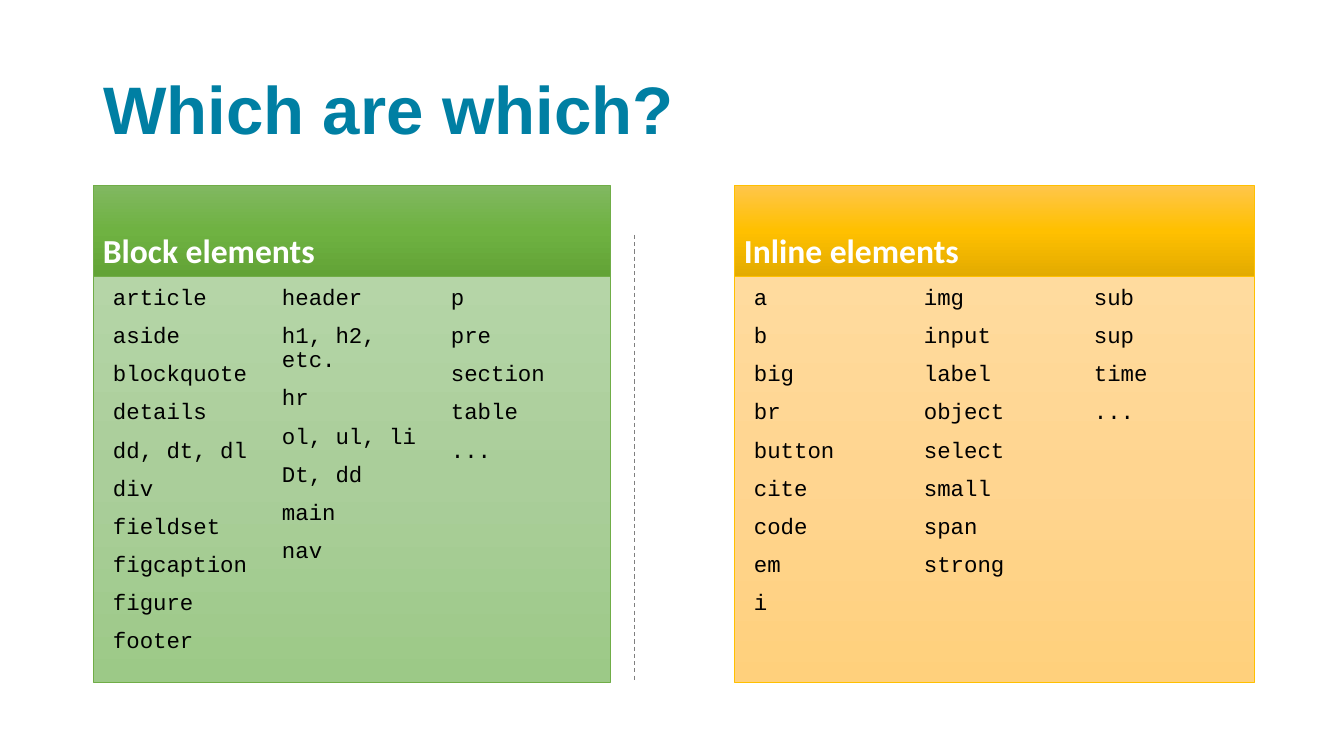
"""Build a slide that sorts page tags into block and inline groups."""
from copy import deepcopy

from lxml.etree import SubElement
from pptx import Presentation
from pptx.dml.color import RGBColor
from pptx.enum.dml import MSO_LINE
from pptx.enum.shapes import MSO_CONNECTOR, MSO_SHAPE
from pptx.enum.text import MSO_ANCHOR, PP_ALIGN
from pptx.oxml.ns import qn
from pptx.util import Pt

SCALE = 914400 / 100.8
TEAL = RGBColor(0x00, 0x7F, 0xA3)
WHITE = RGBColor(0xFF, 0xFF, 0xFF)
BLACK = RGBColor(0x00, 0x00, 0x00)
GREY = RGBColor(0x7F, 0x7F, 0x7F)
GREEN = RGBColor(0x70, 0xAD, 0x47)
GOLD = RGBColor(0xFF, 0xC0, 0x00)
GREEN_HEAD = [RGBColor(0x81, 0xB8, 0x61), RGBColor(0x6F, 0xB2, 0x42), RGBColor(0x62, 0xA3, 0x36)]
GREEN_BODY = [RGBColor(0xB5, 0xD5, 0xA7), RGBColor(0xAA, 0xCE, 0x9A), RGBColor(0x9C, 0xC9, 0x87)]
GOLD_HEAD = [RGBColor(0xFF, 0xC6, 0x4B), GOLD, RGBColor(0xE3, 0xAB, 0x00)]
GOLD_BODY = [RGBColor(0xFF, 0xDB, 0x9E), RGBColor(0xFF, 0xD5, 0x90), RGBColor(0xFF, 0xD0, 0x7C)]

BLOCK = [
    ["article", "aside", "blockquote", "details", "dd, dt, dl", "div",
     "fieldset", "figcaption", "figure", "footer"],
    ["header", "h1, h2, etc.", "hr", "ol, ul, li", "Dt, dd", "main", "nav"],
    ["p", "pre", "section", "table", "..."],
]
INLINE = [
    ["a", "b", "big", "br", "button", "cite", "code", "em", "i"],
    ["img", "input", "label", "object", "select", "small", "span", "strong"],
    ["sub", "sup", "time", "..."],
]
TOP, HEAD, BODY = 185, 91, 406
PAD, GAP = 20, 30


def px(*sizes):
    """Turn pixel lengths into EMU."""
    return [round(size * SCALE) for size in sizes]


def style(para, face, size, color, bold=False):
    """Set the font and line pitch of a paragraph."""
    para.alignment = PP_ALIGN.LEFT
    para.line_spacing = 0.9
    font = para.font
    font.name, font.size, font.bold = face, Pt(size), bold
    font.color.rgb = color


def add_title(slide, text):
    """Place and fill the title."""
    title = slide.shapes.title
    title.left, title.top, title.width, title.height = px(93, 40, 1159, 146)
    frame = title.text_frame
    frame.text = text
    frame.vertical_anchor = MSO_ANCHOR.MIDDLE
    style(frame.paragraphs[0], "Arial", 48, TEAL, True)


def add_panel(slide, box, shades, edge):
    """Draw a box with a three-stop fade from top to bottom."""
    panel = slide.shapes.add_shape(MSO_SHAPE.RECTANGLE, *px(*box))
    panel.shadow.inherit = False
    panel.line.color.rgb = edge
    panel.line.width = Pt(0.5)
    panel.fill.gradient()
    panel.fill.gradient_angle = 270
    stops = panel._element.spPr.find(".//" + qn("a:gsLst"))
    stops.insert(1, deepcopy(stops[0]))
    for rank, (stop, shade) in enumerate(zip(panel.fill.gradient_stops, shades)):
        stop.position = rank / 2
        stop.color.rgb = shade
    return panel


def add_list(slide, box, words):
    """Write one column of tag names."""
    frame = slide.shapes.add_textbox(*px(*box)).text_frame
    frame.word_wrap = True
    frame.margin_left = frame.margin_right = 0
    frame.margin_top = frame.margin_bottom = px(10)[0]
    for rank, word in enumerate(words):
        para = frame.add_paragraph() if rank else frame.paragraphs[0]
        para.text = word
        para.space_before = Pt(10 if rank else 0)
        style(para, "Courier New", 16, BLACK)


def add_group(slide, left, width, name, lists, edge, head, body):
    """Draw a headed panel with its columns of tags."""
    frame = add_panel(slide, (left, TOP, width, HEAD), head, edge).text_frame
    frame.text = name
    frame.vertical_anchor = MSO_ANCHOR.BOTTOM
    style(frame.paragraphs[0], "Calibri", 24, WHITE, True)
    low = TOP + HEAD
    add_panel(slide, (left, low, width, BODY), body, edge)
    span = (width - 2 * PAD - (len(lists) - 1) * GAP) / len(lists)
    for rank, words in enumerate(lists):
        add_list(slide, (left + PAD + rank * (span + GAP), low, span, BODY), words)


def add_rule(slide, x, top, end):
    """Draw the dashed line between the groups."""
    rule = slide.shapes.add_connector(MSO_CONNECTOR.STRAIGHT, *px(x, top, x, end))
    rule.line.color.rgb = GREY
    rule.line.width = Pt(0.75)
    rule.line.dash_style = MSO_LINE.DASH
    SubElement(rule._element.spPr, qn("a:effectLst"))


def main():
    """Build and save the slide."""
    deck = Presentation()
    deck.slide_width, deck.slide_height = px(1344, 756)
    slide = deck.slides.add_slide(deck.slide_layouts[5])
    add_title(slide, "Which are which?")
    add_group(slide, 93, 517, "Block elements", BLOCK, GREEN, GREEN_HEAD, GREEN_BODY)
    add_group(slide, 734, 520, "Inline elements", INLINE, GOLD, GOLD_HEAD, GOLD_BODY)
    add_rule(slide, 635, 235, TOP + HEAD + BODY)
    deck.save("out.pptx")


if __name__ == "__main__":
    main()
